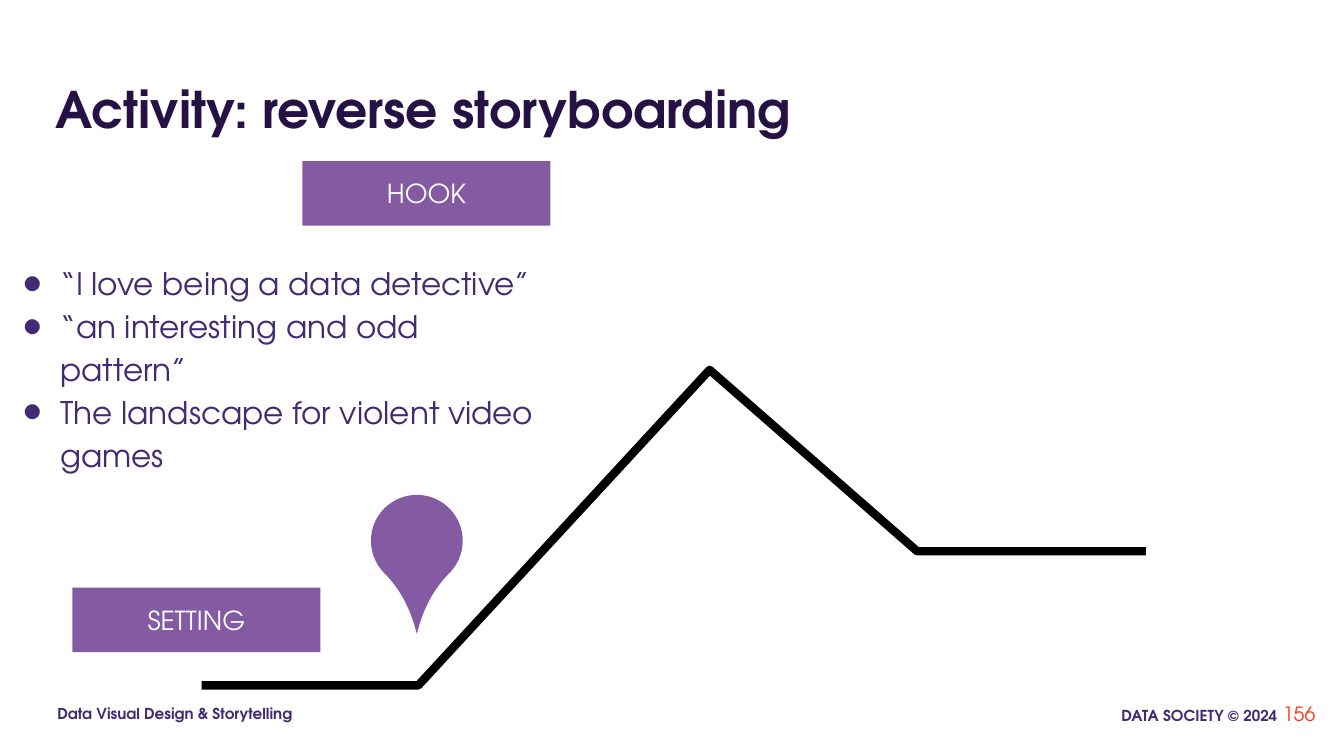
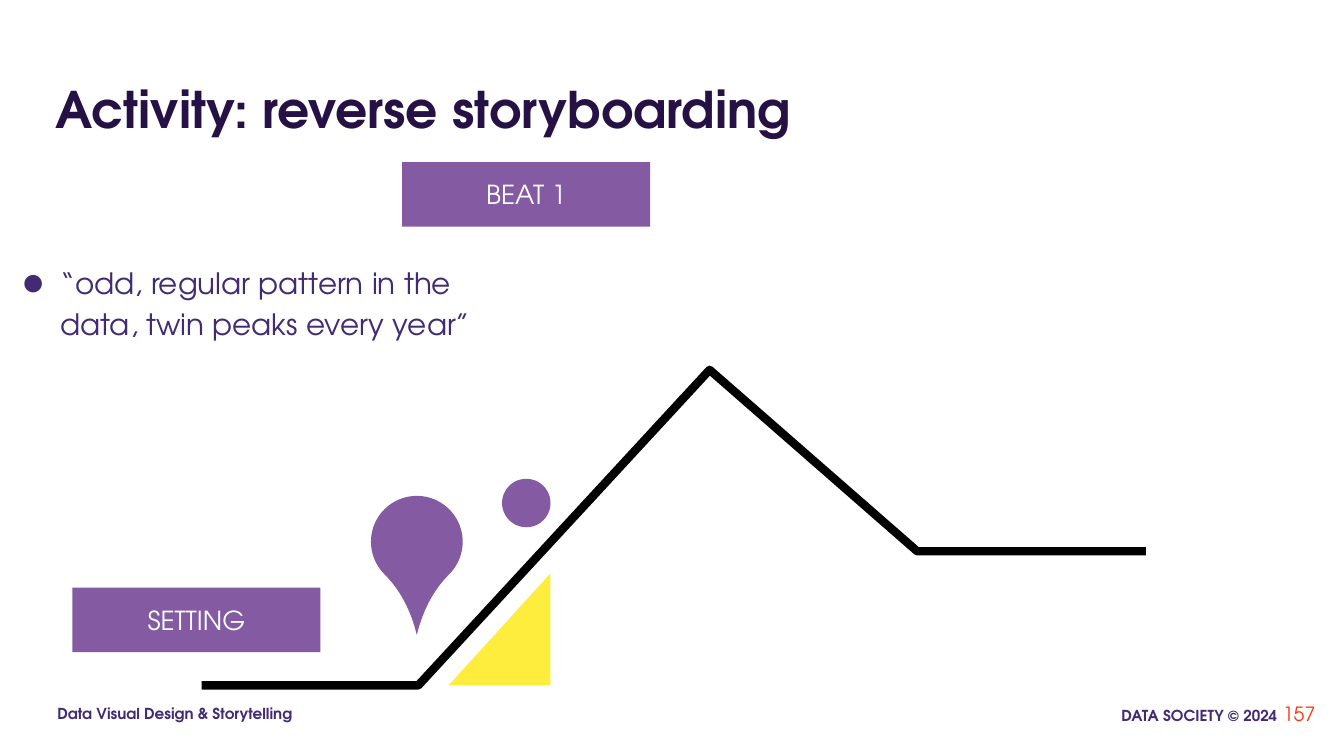
"""Build the two reverse storyboarding slides."""
import lxml.etree
import pptx
import pptx.dml.color
import pptx.enum.shapes
import pptx.enum.text
import pptx.oxml.ns
import pptx.util

Pt = pptx.util.Pt
RGBColor = pptx.dml.color.RGBColor
Shape = pptx.enum.shapes.MSO_SHAPE
Align = pptx.enum.text.PP_ALIGN
Anchor = pptx.enum.text.MSO_ANCHOR
qn = pptx.oxml.ns.qn

INK = RGBColor(0x26, 0x11, 0x44)
VIOLET = RGBColor(0x42, 0x2B, 0x72)
PURPLE = RGBColor(0x84, 0x5B, 0xA3)
YELLOW = RGBColor(0xFF, 0xED, 0x3D)
ORANGE = RGBColor(0xFF, 0x35, 0x0F)
BLACK = RGBColor(0, 0, 0)
WHITE = RGBColor(0xFF, 0xFF, 0xFF)

STORY_ARC = [(144, 489.6), (298.8, 489.6), (506.9, 264.2), (655.2, 393.8), (818.6, 393.8)]


class Storyboard:
    """Hold the deck style and the current slide."""

    font_name = "TeX Gyre Adventor"
    label_size = (177.1, 46.1)

    def __init__(self):
        self.presentation = pptx.Presentation()
        self.presentation.slide_width = Pt(960)
        self.presentation.slide_height = Pt(540)
        self.slide = None

    def start_slide(self, title, number):
        """Add a slide with its title, footers and number."""
        self.slide = self.presentation.slides.add_slide(self.presentation.slide_layouts[1])
        self.text_box("DATA SOCIETY © 2024", (761, 496, 160, 30), 10.8, VIOLET,
                      bold=True, align=Align.RIGHT, insets=(8.6, 8.6))
        self.text_box("Data Visual Design & Storytelling", (32.4, 494.6, 197.3, 30), 10.8,
                      VIOLET, bold=True, insets=(8.6, 8.6))
        self.text_box(str(number), (889.2, 489.6, 57.6, 41), 14, ORANGE,
                      align=Align.RIGHT, anchor=Anchor.MIDDLE)
        heading = self.slide.shapes.title
        self.place(heading, (32.4, 41.8, 894.2, 60.5))
        self.set_text(heading, [title], 36, INK, bold=True, anchor=Anchor.BOTTOM)

    def place(self, shape, box):
        """Move and size a shape."""
        shape.left, shape.top, shape.width, shape.height = map(Pt, box)

    def set_text(self, shape, texts, size, color, bold=False, align=Align.LEFT,
                 anchor=Anchor.TOP, insets=(7.2, 3.6), bullet_percent=None):
        """Fill a shape with styled paragraphs."""
        frame = shape.text_frame
        frame.text = "\n".join(texts)
        frame.word_wrap = True
        frame.auto_size = pptx.enum.text.MSO_AUTO_SIZE.NONE
        frame.vertical_anchor = anchor
        frame.margin_left = frame.margin_right = Pt(insets[0])
        frame.margin_top = frame.margin_bottom = Pt(insets[1])
        for paragraph in frame.paragraphs:
            paragraph.alignment = align
            paragraph.space_before = Pt(0)
            if bullet_percent:
                paragraph.line_spacing = 1.15
                self.add_bullet(paragraph, bullet_percent)
            paragraph.font.name = self.font_name
            paragraph.font.size = Pt(size)
            paragraph.font.bold = bold
            paragraph.font.color.rgb = color

    def add_bullet(self, paragraph, percent):
        """Give a paragraph a hanging round bullet."""
        properties = paragraph._p.get_or_add_pPr()
        properties.set("marL", str(Pt(36)))
        properties.set("indent", str(-Pt(26.8)))
        bullet_color = lxml.etree.SubElement(properties, qn("a:buClr"))
        lxml.etree.SubElement(bullet_color, qn("a:srgbClr"), val=str(VIOLET))
        lxml.etree.SubElement(properties, qn("a:buSzPct"), val=str(percent * 1000))
        lxml.etree.SubElement(properties, qn("a:buFont"), typeface=self.font_name)
        lxml.etree.SubElement(properties, qn("a:buChar"), char="●")

    def text_box(self, text, box, size, color, **style):
        """Add a free text box."""
        shape = self.slide.shapes.add_textbox(*map(Pt, box))
        self.set_text(shape, [text], size, color, **style)

    def bullets(self, texts, top, height, size, bullet_percent):
        """Fill the body placeholder with a bulleted list."""
        body = self.slide.placeholders[1]
        self.place(body, (0, top, 390.2, height))
        self.set_text(body, texts, size, VIOLET, insets=(7.2, 7.2),
                      bullet_percent=bullet_percent)

    def solid(self, kind, box, color=PURPLE):
        """Add a flat preset shape without outline."""
        shape = self.slide.shapes.add_shape(kind, *map(Pt, box))
        shape.shadow.inherit = False
        shape.fill.solid()
        shape.fill.fore_color.rgb = color
        shape.line.fill.background()
        return shape

    def label(self, text, left, top):
        """Add a purple label."""
        shape = self.solid(Shape.RECTANGLE, (left, top, *self.label_size))
        self.set_text(shape, [text], 18.7, WHITE, align=Align.CENTER,
                      anchor=Anchor.MIDDLE, insets=(9.4, 9.4))

    def story_arc(self):
        """Draw the thick story line."""
        start, *points = [(Pt(x), Pt(y)) for x, y in STORY_ARC]
        builder = self.slide.shapes.build_freeform(*start)
        builder.add_line_segments(points, close=False)
        shape = builder.convert_to_shape()
        shape.shadow.inherit = False
        shape.fill.background()
        shape.line.color.rgb = BLACK
        shape.line.width = Pt(6)
        lxml.etree.SubElement(shape.element.spPr.find(qn("a:ln")), qn("a:round"))

    def setting(self, marker_top):
        """Add the setting label and its map marker."""
        marker = self.solid(Shape.TEAR, (265, marker_top, 65.5, 65.5))
        marker.adjustments[0] = 1.437
        marker.rotation = 135
        self.label("SETTING", 51.8, 419.8)

    def rising_wedge(self):
        """Add the yellow triangle under the rising line."""
        wedge = self.solid(Shape.RIGHT_TRIANGLE, (320.4, 409.7, 72.7, 79.9), YELLOW)
        wedge.element.spPr.find(qn("a:xfrm")).set("flipH", "1")


def main():
    """Build and save both slides."""
    board = Storyboard()
    title = "Activity: reverse storyboarding"

    board.start_slide(title, 156)
    board.bullets(["“I love being a data detective”",
                   "“an interesting and odd pattern”",
                   "The landscape for violent video games"], 177.8, 187.9, 22.2, 81)
    board.story_arc()
    board.setting(353.5)
    board.label("HOOK", 216, 115.2)

    board.start_slide(title, 157)
    board.bullets(["“odd, regular pattern in the data, twin peaks every year”"],
                  178.6, 83.5, 21, 100)
    board.story_arc()
    board.rising_wedge()
    board.setting(354.2)
    board.solid(Shape.OVAL, (358.6, 342, 34.6, 34.6))
    board.label("BEAT 1", 287.3, 115.9)

    board.presentation.save("out.pptx")


if __name__ == "__main__":
    main()
